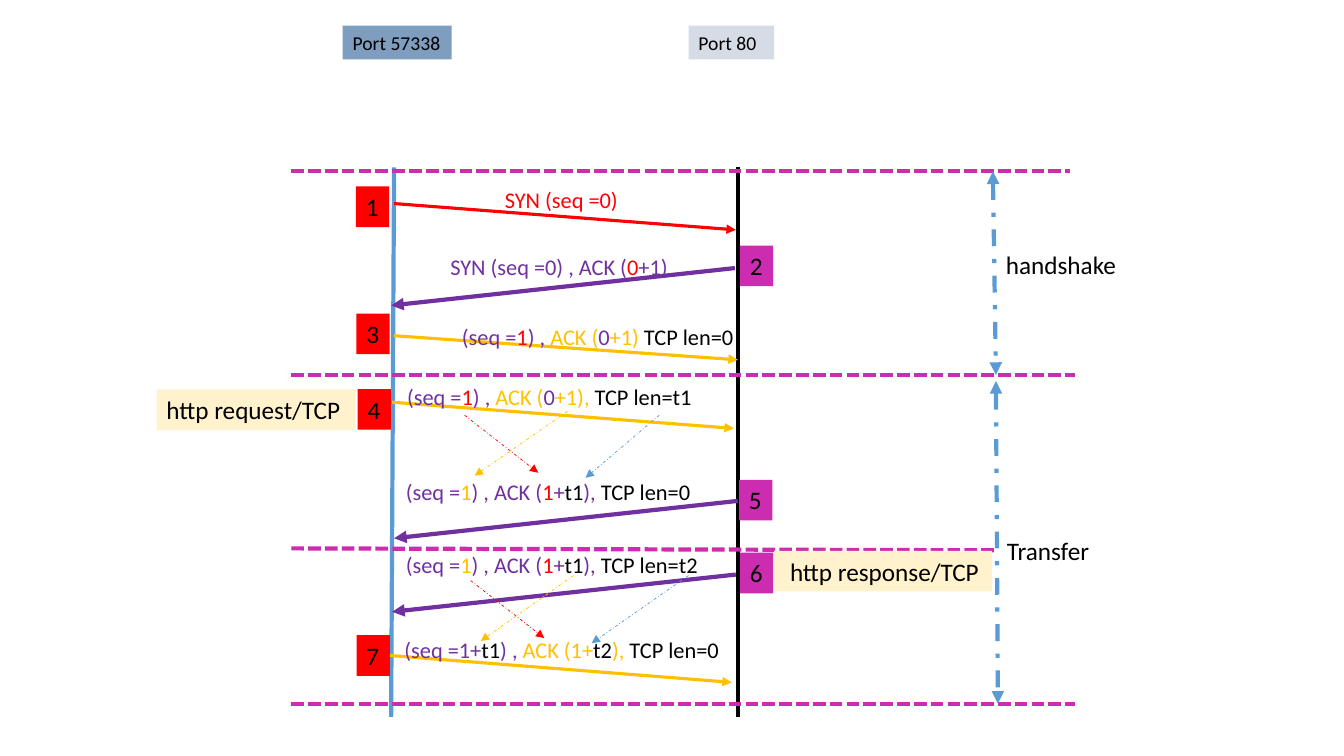
from lxml.etree import SubElement
from pptx import Presentation
from pptx.dml.color import RGBColor
from pptx.enum.dml import MSO_LINE_DASH_STYLE as Dash
from pptx.enum.shapes import MSO_CONNECTOR as Connector, MSO_SHAPE as Shape
from pptx.enum.text import MSO_ANCHOR as Anchor, MSO_AUTO_SIZE as AutoSize, PP_ALIGN as Align
from pptx.oxml.ns import qn
from pptx.util import Pt

RED, PURPLE, GOLD, BLUE = "FF0000", "7030A0", "FFC000", "5B9BD5"
MAGENTA, BLACK, CREAM = "CC2DB0", "000000", "FFF2CC"

deck = Presentation()
deck.slide_width, deck.slide_height = Pt(960), Pt(540)
page = deck.slides.add_slide(deck.slide_layouts[6])


def add_text(text, left, top, width, height, size=18, fill=None, wrap=True, inset=7.2):
    """Text is a string, or a list of (text, colour) spans."""
    place = Pt(left), Pt(top), Pt(width), Pt(height)
    if fill:
        box = page.shapes.add_shape(Shape.RECTANGLE, *place)
        box.shadow.inherit = False
        box.fill.solid()
        box.fill.fore_color.rgb = RGBColor.from_string(fill)
        box.line.fill.background()
    else:
        box = page.shapes.add_textbox(*place)
    frame = box.text_frame
    frame.word_wrap = wrap
    frame.auto_size = AutoSize.SHAPE_TO_FIT_TEXT
    frame.vertical_anchor = Anchor.TOP
    frame.margin_left = Pt(inset)
    para = frame.paragraphs[0]
    para.alignment = Align.LEFT
    for words, color in [(text, BLACK)] if isinstance(text, str) else text:
        span = para.add_run()
        span.text = words
        span.font.name = "Calibri"
        span.font.size = Pt(size)
        span.font.color.rgb = RGBColor.from_string(color)


def add_line(start, end, color, width, dash=None, heads=()):
    line = page.shapes.add_connector(Connector.STRAIGHT, *map(Pt, start + end))
    line.line.color.rgb = RGBColor.from_string(color)
    line.line.width = Pt(width)
    if dash:
        line.line.dash_style = dash
    for head in heads:
        SubElement(line.line._get_or_add_ln(), qn(f"a:{head}"), type="triangle")
    SubElement(line._element.spPr, qn("a:effectLst"))


# Lifelines of the two ports
add_line((281.5, 119.5), (279.4, 512), BLUE, 3)
add_line((527, 119.5), (527, 512), BLACK, 3)
add_text("Port 57338", 244.8, 18.3, 77.8, 24.2, size=14, fill="7E9DBF")
add_text("Port 80", 491.8, 18.3, 61.2, 24.2, size=14, fill="D6DCE5")

# Phase separators
for start_y, end_x, end_y in [(122.4, 764, 122.4), (267.8, 768.2, 267.8),
                              (391.7, 710.6, 393.1), (502.6, 768.2, 502.6)]:
    add_line((208.1, start_y), (end_x, end_y), MAGENTA, 3, dash=Dash.SQUARE_DOT)

# Phase spans and their names
for start, end in [((709.2, 122.4), (711.4, 267.8)), ((711.4, 272.2), (712.8, 502.6))]:
    add_line(start, end, BLUE, 3, dash=Dash.DASH_DOT, heads=("headEnd", "tailEnd"))
add_text("handshake", 711.4, 174.5, 94.3, 29, wrap=False)
add_text("Transfer", 712.1, 379, 94.3, 29)

# Messages: arrow start, arrow end, arrow colour, label left, top and width, label spans
server_reply = [("(seq =", PURPLE), ("1", GOLD), (") , ACK (", PURPLE), ("1", RED),
                ("+", PURPLE), ("t1", BLACK), ("), ", PURPLE)]
client_start = [("(seq =", PURPLE), ("1", RED), (") , ", PURPLE), ("ACK (", GOLD), ("0", PURPLE)]
messages = [
    ((281.5, 145.4), (525.6, 164.2), RED, (353.5, 129.6, 122.4), [("SYN (seq =0)", RED)]),
    ((524.9, 191.5), (279.4, 218.2), PURPLE, (314.6, 177.1, 187.9),
     [("SYN (seq =0) , ACK (", PURPLE), ("0", RED), ("+1)", PURPLE)]),
    ((281.5, 239.8), (527, 257), GOLD, (322.9, 227.5, 225.4),
     client_start + [("+1) ", GOLD), ("TCP len=0", BLACK)]),
    ((280.1, 287.3), (524.2, 306), GOLD, (283.7, 270.2, 244.1),
     client_start + [("+1), ", GOLD), ("TCP len=t1", BLACK)]),
    ((527, 357.8), (281.5, 384.5), PURPLE, (282.8, 337.9, 242.6),
     server_reply + [("TCP len=0", BLACK)]),
    ((525.6, 410.4), (280.1, 437), PURPLE, (282.8, 390.2, 254.2),
     server_reply + [("TCP len=t2", BLACK)]),
    ((278.6, 468.2), (522.7, 487.4), GOLD, (281.8, 450.9, 265.7),
     [("(seq =1+", PURPLE), ("t1", BLACK), (") , ", PURPLE), ("ACK (1+", GOLD),
      ("t2", BLACK), ("), ", GOLD), ("TCP len=0", BLACK)]),
]
for start, end, color, place, spans in messages:
    add_line(start, end, color, 3 if color == PURPLE else 2.25, heads=("tailEnd",))
    add_text(spans, *place, 26.6, size=16)

# Thin arrows from sent values to the reply
for start, end, color in [
    ((331.9, 296.6), (384.5, 337.7), RED),
    ((470.9, 296.6), (418.3, 341.3), BLUE),
    ((405.4, 293.8), (339.1, 339.8), GOLD),
    ((336.2, 414.7), (388.8, 455.8), RED),
    ((491.8, 411.1), (422.6, 459.4), BLUE),
    ((409.7, 411.1), (343.4, 457.9), GOLD),
]:
    add_line(start, end, color, 0.5, dash=Dash.DASH_DOT, heads=("tailEnd",))

# Payload notes
add_text("http request/TCP", 111.8, 278.2, 142, 29, fill=CREAM)
add_text("http response/TCP", 553, 393.5, 155.5, 29, fill=CREAM, inset=11.3)

# Step numbers: red for the client, magenta for the server
steps = [(254.2, 133.2, RED), (528.5, 175.5, MAGENTA), (254.6, 224, RED), (255.5, 278, RED),
         (527.9, 342.7, MAGENTA), (528.5, 394.8, MAGENTA), (254.7, 453.7, RED)]
for number, (left, top, color) in enumerate(steps, 1):
    add_text(str(number), left, top, 23.8, 29, fill=color, wrap=False)

deck.save("out.pptx")
